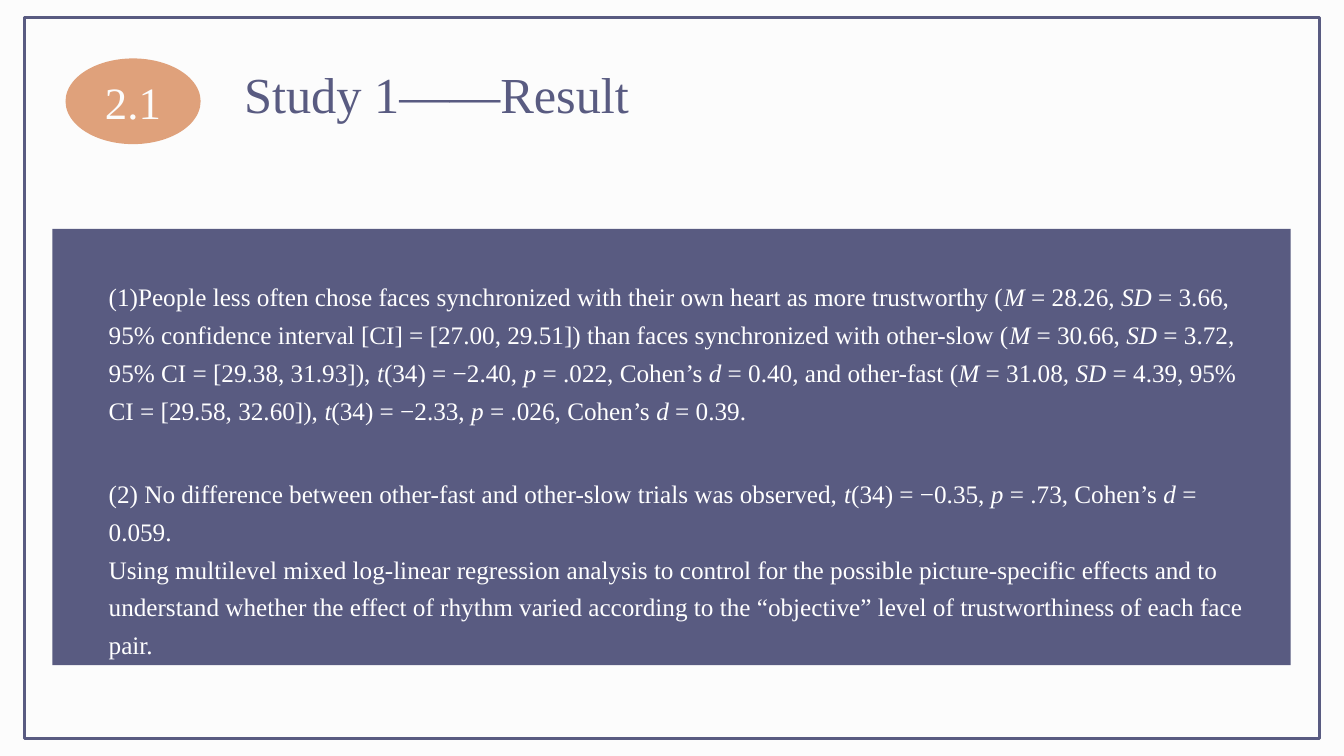
from pptx import Presentation
from pptx.dml.color import RGBColor
from pptx.enum.shapes import MSO_SHAPE as Shape
from pptx.enum.text import MSO_ANCHOR as Anchor, MSO_AUTO_SIZE as AutoSize, PP_ALIGN as Align
from pptx.util import Inches, Pt

# Content: *stars* mark italics, ~ is a non-breaking space
TITLE = "Study 1——Result"
NUMBER = "2.1"
FINDINGS = [
    ["(1)People less often chose faces synchronized with their own heart as more trustworthy "
     "(*M*~= 28.26,~*SD*~= 3.66, 95% confidence interval [CI] = [27.00, 29.51]) than faces "
     "synchronized with other-slow (*M*~= 30.66,~*SD*~= 3.72, 95% CI = [29.38, 31.93]),~"
     "*t*(34) = −2.40,~*p*~= .022, Cohen’s~*d*~= 0.40, and other-fast "
     "(*M*~= 31.08,~*SD*~= 4.39, 95% CI = [29.58, 32.60]),~"
     "*t*(34) = −2.33,~*p*~= .026, Cohen’s~*d*~= 0.39."],
    ["(2) No difference between other-fast and other-slow trials was observed,~"
     "*t*(34) = −0.35,*~p~*= .73, Cohen’s~*d*~= 0.059.",
     "Using multilevel mixed log-linear regression analysis to control for the possible "
     "picture-specific effects and to understand whether the effect of rhythm varied according "
     "to the “objective” level of trustworthiness of each face pair."],
]

# Style and layout, in inches: left, top, width, height
COLORS = {"paper": "FCFCFC", "indigo": "595B81", "orange": "DFA17B", "white": "FFFFFF"}
FONT = "Times New Roman"
WIDTH, HEIGHT = 13.33, 7.5
FRAME = (0.24, 0.17, 12.85, 7.16)
PANEL = (0.52, 2.27, 12.28, 4.33)
FINDING_PLACES = [(0.98, 2.67, 11.5, 1.99), (0.98, 4.62, 11.64, 1.58)]
BADGE = (0.65, 0.58, 1.34, 0.85)
HEADING = (2.32, 0.58, 4.06, 0.71)


def color(name):
    return RGBColor.from_string(COLORS[name])


def inches(place):
    return [Inches(length) for length in place]


def style(span, size, ink, italic=False):
    span.font.name, span.font.size = FONT, Pt(size)
    span.font.color.rgb = color(ink)
    span.font.italic = italic


def add_block(page, kind, place, fill=None, line=None):
    block = page.shapes.add_shape(kind, *inches(place))
    block.shadow.inherit = False
    if fill:
        block.fill.solid()
        block.fill.fore_color.rgb = color(fill)
    else:
        block.fill.background()
    if line:
        block.line.color.rgb = color(line)
        block.line.width = Pt(2)
    else:
        block.line.fill.background()
    return block


def add_finding(page, place, texts):
    frame = page.shapes.add_textbox(*inches(place)).text_frame
    frame.word_wrap = True
    frame.auto_size = AutoSize.SHAPE_TO_FIT_TEXT
    for index, text in enumerate(texts):
        para = frame.add_paragraph() if index else frame.paragraphs[0]
        para.line_spacing = Pt(27)
        for part, words in enumerate(text.replace("~", chr(160)).split("*")):
            if words:
                span = para.add_run()
                span.text = words
                style(span, 18, "white", italic=part % 2 == 1)


def main():
    deck = Presentation()
    deck.slide_width, deck.slide_height = Inches(WIDTH), Inches(HEIGHT)
    page = deck.slides.add_slide(deck.slide_layouts.get_by_name("Title Only"))
    page.background.fill.solid()
    page.background.fill.fore_color.rgb = color("paper")

    # Frame, panel and findings
    add_block(page, Shape.RECTANGLE, FRAME, line="indigo")
    add_block(page, Shape.RECTANGLE, PANEL, fill="indigo")
    for place, texts in zip(FINDING_PLACES, FINDINGS):
        add_finding(page, place, texts)

    # Section badge
    badge = add_block(page, Shape.OVAL, BADGE, fill="orange").text_frame
    badge.text = NUMBER
    badge.vertical_anchor = Anchor.MIDDLE
    badge.paragraphs[0].alignment = Align.CENTER
    style(badge.paragraphs[0].runs[0], 32, "paper")

    # Title, brought in front of the frame
    title = page.shapes.title
    title.left, title.top, title.width, title.height = inches(HEADING)
    heading = title.text_frame
    heading.text = TITLE
    heading.word_wrap = False
    heading.auto_size = AutoSize.SHAPE_TO_FIT_TEXT
    heading.vertical_anchor = Anchor.TOP
    heading.paragraphs[0].alignment = Align.LEFT
    style(heading.paragraphs[0].runs[0], 36, "indigo")
    page.shapes.element.append(title.element)

    deck.save("out.pptx")


if __name__ == "__main__":
    main()
